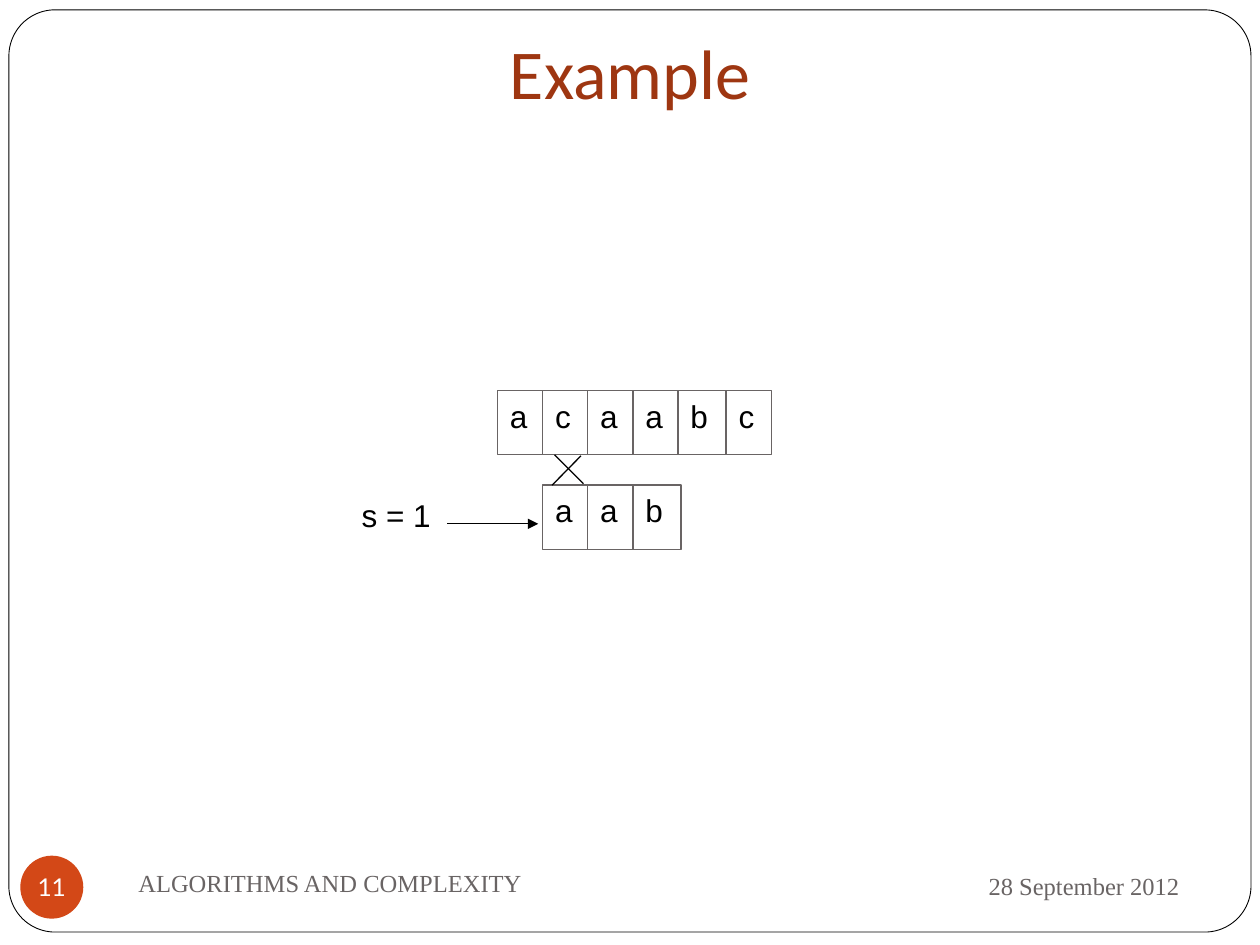
"""Build the string matching example slide for shift s = 1."""
from lxml.etree import SubElement
from pptx import Presentation
from pptx.dml.color import RGBColor
from pptx.enum.shapes import MSO_CONNECTOR, MSO_SHAPE
from pptx.enum.text import MSO_ANCHOR, PP_ALIGN
from pptx.oxml.ns import qn
from pptx.util import Cm, Pt

INK = {"black": "000000", "white": "FFFFFF", "gray": "696464",
       "orange": "D34817", "rust": "9E3611"}


def shape(kind, box, fill=None, line=None, width=0.75):
    item = slide.shapes.add_shape(kind, *[Cm(v) for v in box])
    item.shadow.inherit = False
    if fill:
        item.fill.solid()
        item.fill.fore_color.rgb = RGBColor.from_string(INK[fill])
    else:
        item.fill.background()
    if line:
        item.line.color.rgb = RGBColor.from_string(INK[line])
        item.line.width = Pt(width)
    else:
        item.line.fill.background()
    return item


def write(item, text, size, font, ink, align=PP_ALIGN.LEFT,
          anchor=MSO_ANCHOR.TOP, wrap=False):
    frame = item.text_frame
    frame.text = text
    frame.word_wrap = wrap
    frame.vertical_anchor = anchor
    line = frame.paragraphs[0]
    line.alignment = align
    face = line.runs[0].font
    face.size = Pt(size)
    face.name = font
    face.color.rgb = RGBColor.from_string(INK[ink])
    return frame


deck = Presentation()
deck.slide_width, deck.slide_height = Cm(25.4), Cm(19.05)
slide = deck.slides.add_slide(deck.slide_layouts[6])

border = shape(MSO_SHAPE.ROUNDED_RECTANGLE, (0.18, 0.2, 25.04, 18.59),
               "white", "black", 0.5)
border.adjustments[0] = 0.05

serif = "Times New Roman"
middle = MSO_ANCHOR.MIDDLE
labels = [
    ("28 September 2012", (17.15, 17.2, 6.88, 1.32), 14, serif, "gray",
     PP_ALIGN.RIGHT, middle, True),
    ("ALGORITHMS AND COMPLEXITY", (2.54, 17.15, 11, 1.27), 14, serif, "gray",
     PP_ALIGN.LEFT, middle, True),
    ("Example", (0, 0, 25.4, 2.54), 40, "Calibri", "rust",
     PP_ALIGN.CENTER, MSO_ANCHOR.BOTTOM, True),
    ("s = 1", (7.04, 9.88, 2.16, 1.27), 18, "Arial", "black",
     PP_ALIGN.LEFT, MSO_ANCHOR.TOP, False),
]
for text, box, *style in labels:
    label = slide.shapes.add_textbox(*[Cm(v) for v in box])
    frame = write(label, text, *style)
    if text == "Example":
        frame.margin_bottom = Cm(0.25)

badge = shape(MSO_SHAPE.OVAL, (0.41, 17.25, 1.27, 1.27), "orange")
frame = write(badge, "11", 14, "Lato", "white", PP_ALIGN.CENTER, middle)
frame.margin_left = frame.margin_right = 0
frame.margin_top = frame.margin_bottom = 0

for word, left, top in [("acaabc", 10.03, 7.87), ("aab", 10.94, 9.78)]:
    for char in word:
        width = 0.97 if char == "b" else 0.91
        cell = shape(MSO_SHAPE.RECTANGLE, (left, top, width, 1.3), line="gray")
        write(cell, char, 18, "Arial", "black")
        left += width

lines = [(9.02, 10.56, 10.85, 10.56, True),
         (11.18, 9.17, 11.76, 9.75, False),
         (11.71, 9.19, 11.13, 9.78, False)]
for *ends, arrow in lines:
    line = slide.shapes.add_connector(MSO_CONNECTOR.STRAIGHT,
                                      *[Cm(v) for v in ends])
    line.line.color.rgb = RGBColor.from_string(INK["black"])
    line.line.width = Pt(0.75)
    if arrow:
        SubElement(line.line._get_or_add_ln(), qn("a:tailEnd"), type="triangle")
    SubElement(line._element.spPr, qn("a:effectLst"))

deck.save("out.pptx")
